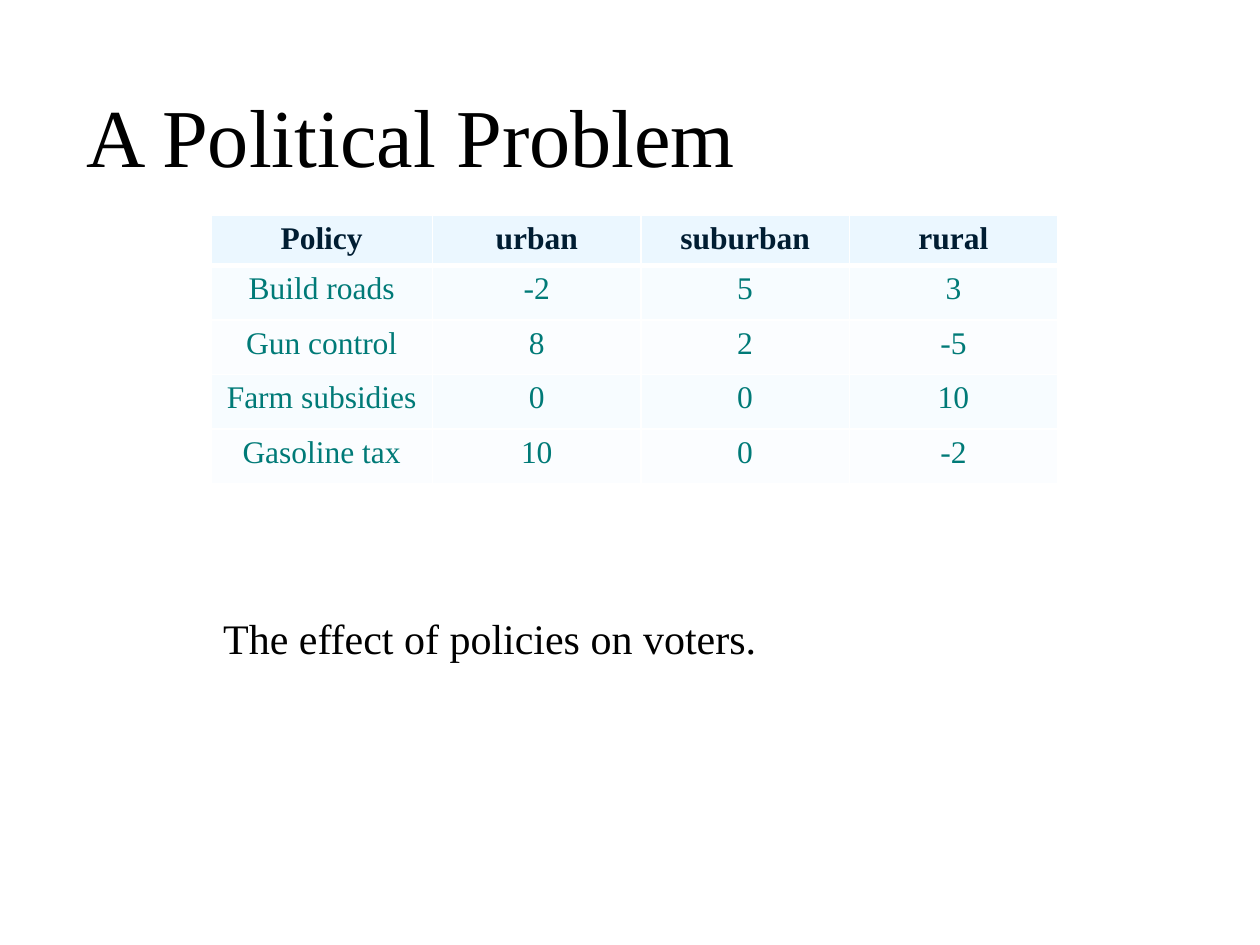
from pptx import Presentation
from pptx.dml.color import RGBColor as RGB
from pptx.enum.text import PP_ALIGN as ALIGN
from pptx.oxml import parse_xml
from pptx.oxml.ns import nsdecls
from pptx.util import Cm, Pt

FONT = "Times New Roman"
COLORS = {
    "text": "000000",
    "header_text": "001D32",
    "body_text": "007A77",
    "header_fill": "EBF7FF",
    "odd_fill": "F7FCFF",
    "even_fill": "FBFDFF",
    "border": "FFFFFF",
}
ROWS = [
    ("Policy", "urban", "suburban", "rural"),
    ("Build roads", "-2", "5", "3"),
    ("Gun control", "8", "2", "-5"),
    ("Farm subsidies", "0", "0", "10"),
    ("Gasoline tax", "10", "0", "-2"),
]


def set_font(p, size, color, bold=False):
    p.font.name = FONT
    p.font.size = Pt(size)
    p.font.bold = bold
    p.font.color.rgb = RGB.from_string(COLORS[color])


def add_text(s, text, left, top, width, height, size, margin_top):
    tf = s.shapes.add_textbox(Cm(left), Cm(top), Cm(width), Cm(height)).text_frame
    tf.word_wrap = True
    tf.margin_top = Cm(margin_top)
    p = tf.paragraphs[0]
    p.text = text
    set_font(p, size, "text")


def set_borders(cell, top, bottom):
    """Draw the four cell edges; they must come before the fill."""
    tcPr = cell._tc.get_or_add_tcPr()
    edges = {"lnL": 1, "lnR": 1, "lnT": top, "lnB": bottom}
    for i, (tag, width) in enumerate(edges.items()):
        tcPr.insert(i, parse_xml(
            f'<a:{tag} {nsdecls("a")} w="{Pt(width)}"><a:solidFill>'
            f'<a:srgbClr val="{COLORS["border"]}"/></a:solidFill></a:{tag}>'))


def fill_cell(cell, text, row):
    header = row == 0
    fill = "header_fill" if header else "odd_fill" if row % 2 else "even_fill"
    cell.fill.solid()
    cell.fill.fore_color.rgb = RGB.from_string(COLORS[fill])
    p = cell.text_frame.paragraphs[0]
    p.text = text
    p.alignment = ALIGN.CENTER
    set_font(p, 18, "header_text" if header else "body_text", header)
    # A thick rule parts the header from the body
    set_borders(cell, top=3 if row == 1 else 1, bottom=3 if header else 1)


def add_policy_table(s):
    table = s.shapes.add_table(len(ROWS), len(ROWS[0]), Cm(4.25), Cm(4.33),
                               Cm(17.07), Cm(5.41)).table
    for i, col in enumerate(table.columns):
        col.width = Cm(4.2 if i else 4.47)
    for i, row in enumerate(table.rows):
        row.height = Cm(1.1 if i else 1.01)
        for cell, text in zip(row.cells, ROWS[i]):
            fill_cell(cell, text, i)


def main():
    prs = Presentation()
    prs.slide_width, prs.slide_height = Cm(25.4), Cm(19.05)
    s = prs.slides.add_slide(prs.slide_layouts[6])

    # Title
    add_text(s, "A Political Problem", 1.5, 1.42, 15.49, 1.85, 47, 0.3)
    # Policy effects by voter group
    add_policy_table(s)
    # Caption
    add_text(s, "The effect of policies on voters.", 4.25, 12.12, 22.4, 1.3, 24, 0.23)

    prs.save("out.pptx")


if __name__ == "__main__":
    main()
